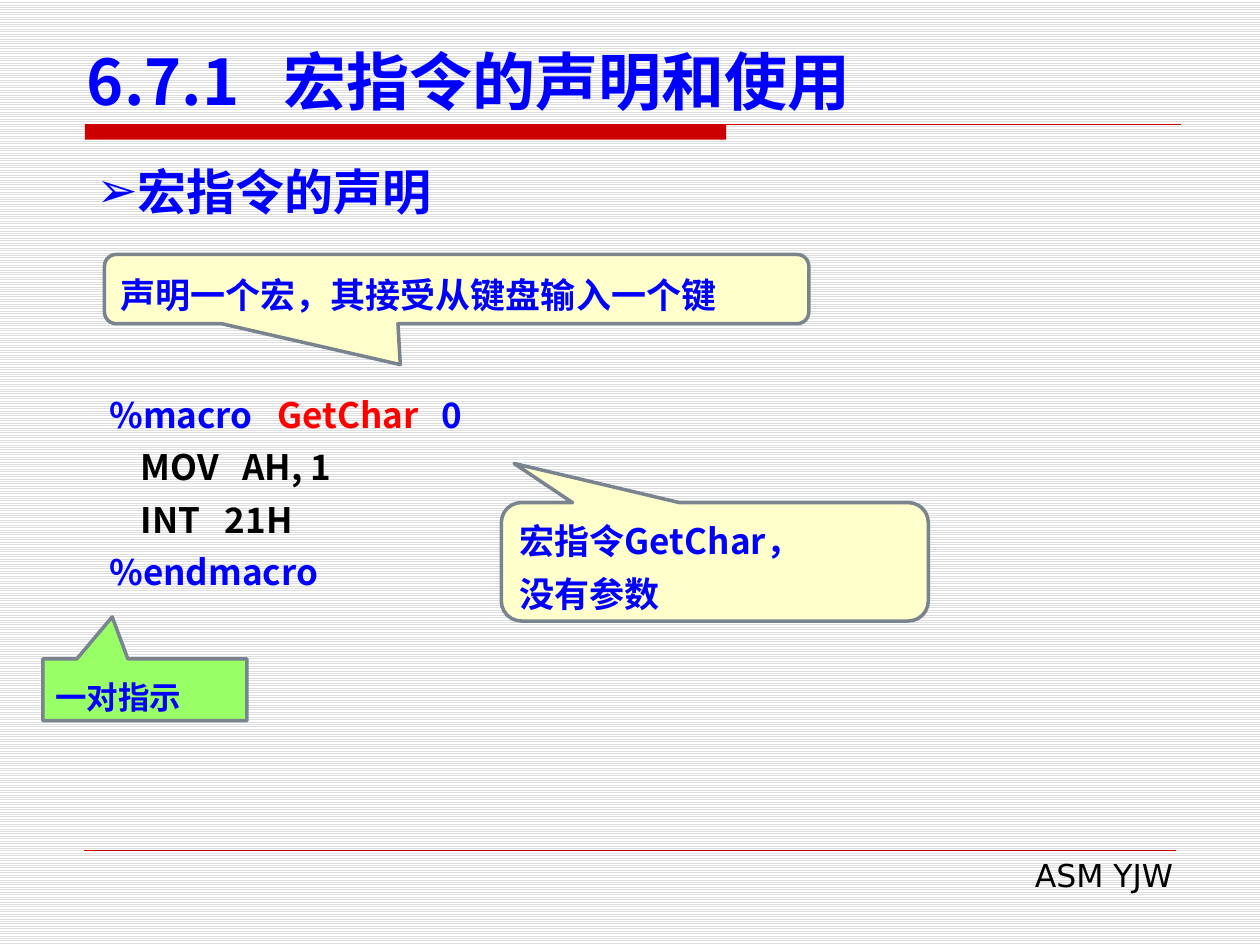
from lxml import etree
from pptx import Presentation
from pptx.dml.color import RGBColor
from pptx.enum import dml, shapes, text
from pptx.oxml import ns
from pptx.util import Pt

BLUE = RGBColor(0x00, 0x00, 0xFF)
RED = RGBColor(0xFF, 0x00, 0x00)
BLACK = RGBColor(0x00, 0x00, 0x00)
WHITE = RGBColor(0xFF, 0xFF, 0xFF)
STRIPE = RGBColor(0xDD, 0xDD, 0xDD)
RULE = RGBColor(0xCC, 0x00, 0x00)
OUTLINE = RGBColor(0x79, 0x84, 0x8F)
CREAM = RGBColor(0xFF, 0xFF, 0xCC)
GREEN = RGBColor(0x99, 0xFF, 0x66)
CJK = "Noto Sans CJK SC"
LATIN = "DejaVu Sans"
LEFT = text.PP_ALIGN.LEFT
MIDDLE = text.MSO_ANCHOR.MIDDLE


def apply(target, values):
    for key, value in values.items():
        setattr(target, key, value)


def place(part, box):
    apply(part, dict(zip(("left", "top", "width", "height"), map(Pt, box))))


def add_child(parent, tag, **attributes):
    return etree.SubElement(parent, ns.qn(tag), attributes)


def write(frame, lines, size, font=CJK, bold=True, anchor=MIDDLE, spacing=None,
          align=LEFT, insets=(3.6, 3.6)):
    apply(frame, {"word_wrap": True, "auto_size": text.MSO_AUTO_SIZE.NONE,
                  "vertical_anchor": anchor,
                  "margin_top": Pt(insets[0]), "margin_bottom": Pt(insets[1])})
    for index, (runs, tabs) in enumerate(lines):
        line = frame.add_paragraph() if index else frame.paragraphs[0]
        apply(line, {"alignment": align, "space_before": Pt(0)})
        if spacing:
            line.line_spacing = Pt(spacing)
        if tabs:
            stops = add_child(line._p.get_or_add_pPr(), "a:tabLst")
            for stop in tabs:
                add_child(stops, "a:tab", pos=str(int(Pt(stop))), algn="l")
        for words, color in runs:
            run = line.add_run()
            run.text = words
            apply(run.font, {"size": Pt(size), "bold": bold, "name": font})
            run.font.color.rgb = color
            add_child(run._r.get_or_add_rPr(), "a:ea", typeface=CJK)


def rule(slide, left, top, right, weight):
    line = slide.shapes.add_connector(
        shapes.MSO_CONNECTOR.STRAIGHT, Pt(left), Pt(top), Pt(right), Pt(top))
    line.line.color.rgb = RULE
    line.line.width = Pt(weight)
    add_child(line._element.spPr, "a:effectLst")


def backdrop(slide):
    fill = slide.background.fill
    fill.patterned()
    fill.pattern = dml.MSO_PATTERN.LIGHT_HORIZONTAL
    fill.fore_color.rgb = STRIPE
    fill.back_color.rgb = WHITE


def heading(slide, box):
    left, top, width, height = box
    base = top + height
    band = slide.shapes.add_shape(shapes.MSO_SHAPE.RECTANGLE,
                                  Pt(left + 6), Pt(base), Pt(366.5), Pt(8.6))
    band.shadow.inherit = False
    band.fill.solid()
    band.fill.fore_color.rgb = RULE
    band.line.fill.background()
    rule(slide, left + 6, base, left + 632.5, 0.75)
    place(slide.shapes.title, box)
    write(slide.shapes.title.text_frame,
          [([("6.7.1\t宏指令的声明和使用", BLUE)], [112.5])],
          36, anchor=text.MSO_ANCHOR.BOTTOM)


def topic(slide, box):
    body = slide.placeholders[1]
    place(body, box)
    write(body.text_frame, [([("宏指令的声明", BLUE)], None)], 28, LATIN, insets=(0, 0))
    layout = body.text_frame.paragraphs[0]._p.get_or_add_pPr()
    indent = int(Pt(23.5))
    layout.set("marL", str(indent))
    layout.set("indent", str(-indent))
    add_child(layout, "a:buFont", typeface=LATIN)
    add_child(layout, "a:buChar", char="➢")


def callout(slide, box, preset, pointer, fill, lines, size, font=CJK):
    note = slide.shapes.add_shape(preset, *map(Pt, box))
    note.shadow.inherit = False
    for index, value in enumerate(pointer):
        note.adjustments[index] = value
    note.fill.solid()
    note.fill.fore_color.rgb = fill
    note.line.color.rgb = OUTLINE
    note.line.width = Pt(2)
    write(note.text_frame, [([(words, BLUE)], None) for words in lines],
          size, font, spacing=30)


def macro_code(slide, box):
    code = slide.shapes.add_textbox(*map(Pt, box))
    write(code.text_frame, [
        ([("%macro\t", BLUE), ("GetChar\t", RED), ("0", BLUE)], [96, 190]),
        ([("\tMOV\tAH, 1", BLACK)], [18, 76]),
        ([("\tINT\t21H", BLACK)], [18, 66]),
        ([("%endmacro", BLUE)], None),
    ], 20, anchor=text.MSO_ANCHOR.TOP, spacing=30)


def footer(slide, box):
    left, top, width, height = box
    rule(slide, 48, top + 0.5, 672, 0.25)
    credit = slide.shapes.add_textbox(*map(Pt, box))
    write(credit.text_frame, [([("ASM YJW", BLACK)], None)], 18, LATIN,
          bold=False, align=text.PP_ALIGN.RIGHT)


def main():
    deck = Presentation()
    apply(deck, {"slide_width": Pt(720), "slide_height": Pt(540)})
    slide = deck.slides.add_slide(deck.slide_layouts[1])
    rounded = shapes.MSO_SHAPE.ROUNDED_RECTANGULAR_CALLOUT
    backdrop(slide)
    footer(slide, (275, 485.5, 402.5, 29))
    heading(slide, (42.5, 20, 652, 51.3))
    topic(slide, (48, 88.6, 623.5, 41))
    callout(slide, (24.5, 376.5, 116.6, 35.3), shapes.MSO_SHAPE.RECTANGULAR_CALLOUT,
            (-0.16, -1.18), GREEN, ["一对指示"], 18, LATIN)
    callout(slide, (286.5, 287.2, 244, 67.7), rounded, (-0.47, -0.83, 0.17),
            CREAM, ["宏指令GetChar，", "没有参数"], 20)
    callout(slide, (59.7, 145.4, 402.5, 39.6), rounded, (-0.08, 1.09, 0.17),
            CREAM, ["声明一个宏，其接受从键盘输入一个键"], 20)
    macro_code(slide, (55.4, 215.3, 437, 128.2))
    deck.save("out.pptx")


if __name__ == "__main__":
    main()
